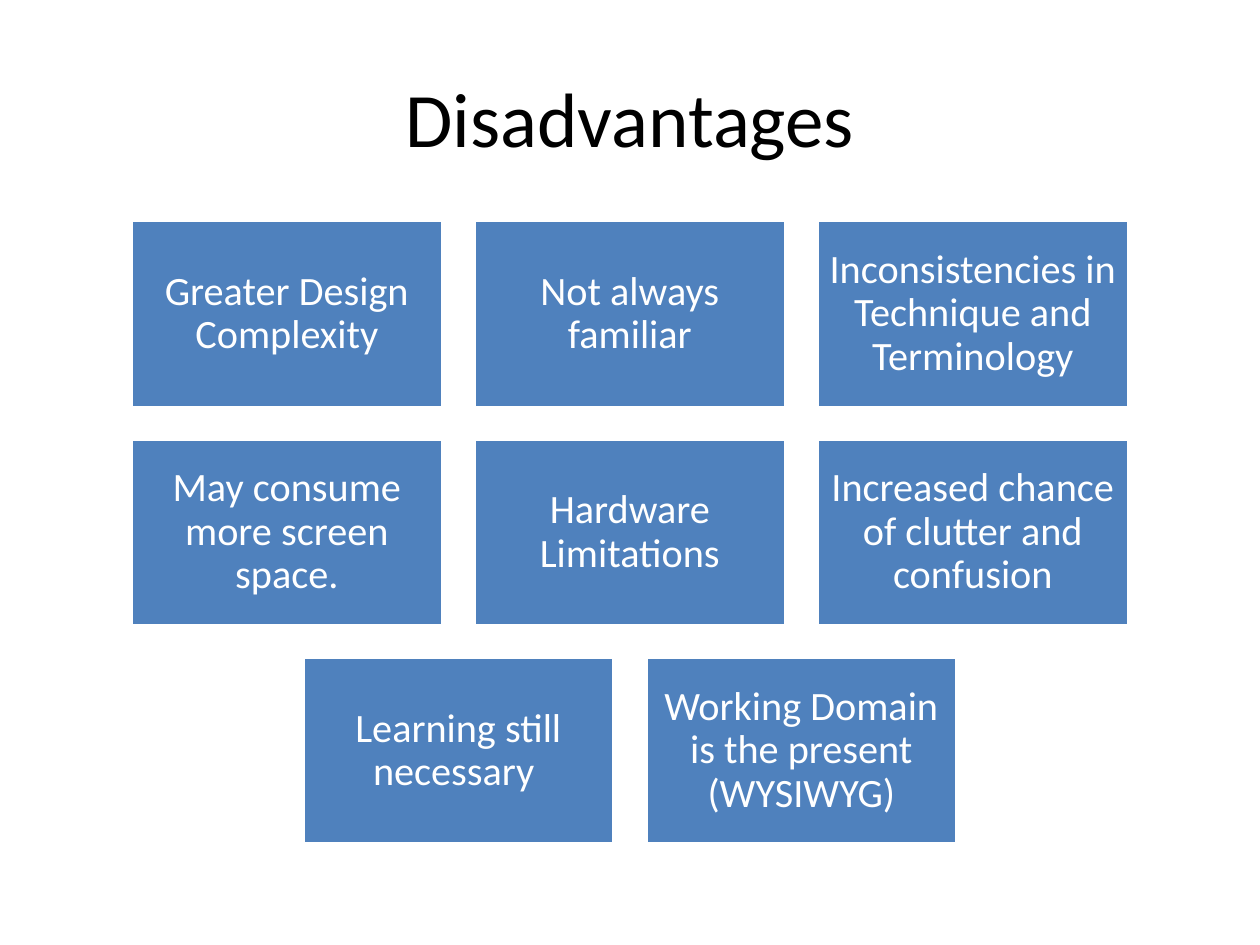
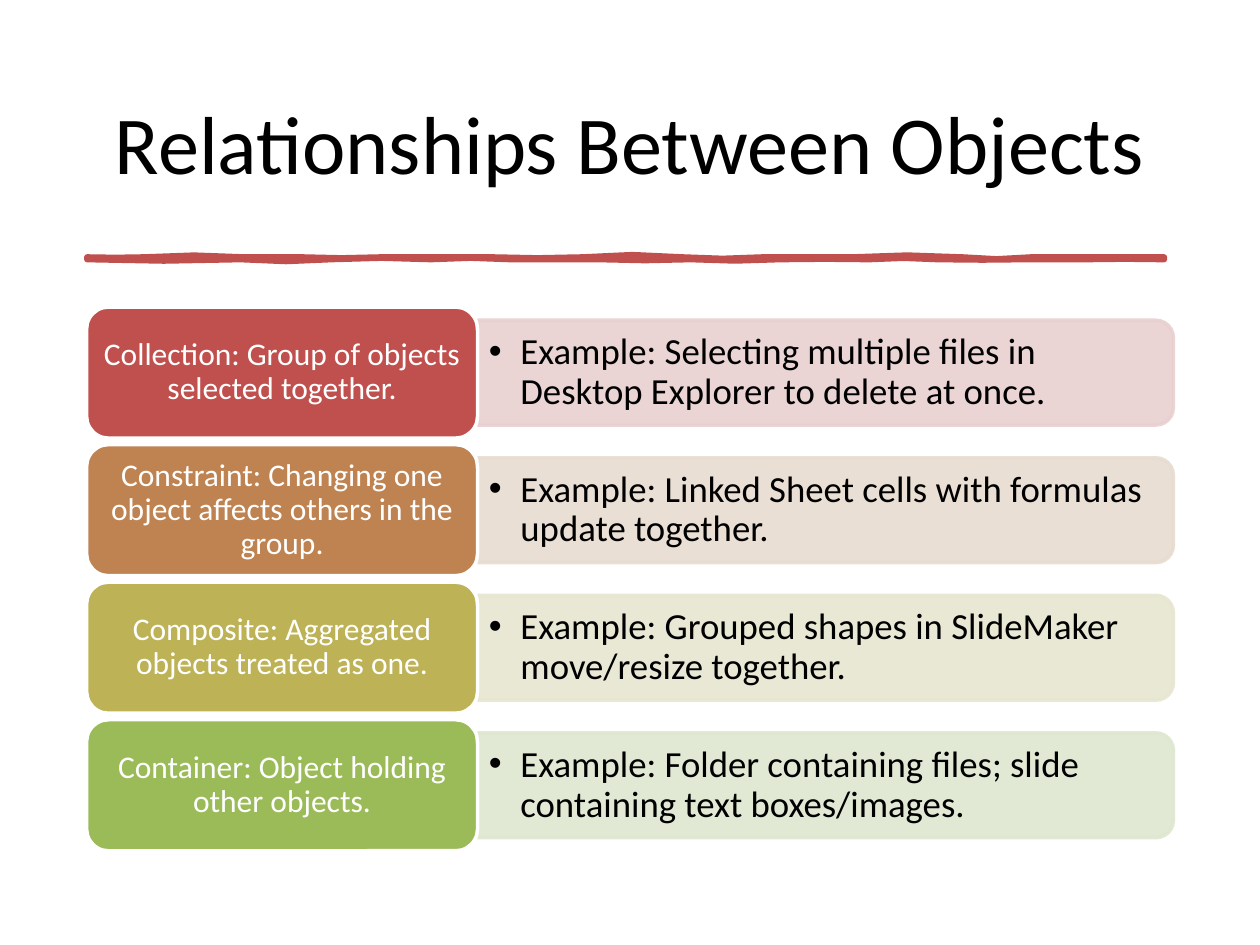
from typing import NamedTuple

from lxml.etree import SubElement
from pptx import Presentation
from pptx.dml.color import RGBColor
from pptx.enum.shapes import MSO_SHAPE as Preset
from pptx.enum.text import MSO_ANCHOR as Anchor, PP_ALIGN as Align
from pptx.oxml.ns import qn
from pptx.util import Pt

FONT = "Calibri"
SLIDE_WIDTH, SLIDE_HEIGHT = 720, 540
COLOURS = {
    "ink": "000000", "paper": "FFFFFF", "blue": "4F81BD",
    "red": "C0504D", "red tint": "E8D0D0",
    "orange": "BE8351", "orange tint": "E8DCD0",
    "olive": "BDB255", "olive tint": "E7E6D1",
    "green": "9BBB59", "green tint": "DEE7D1",
}


class Area(NamedTuple):
    left: float
    top: float
    width: float
    height: float


class Relationship(NamedTuple):
    colour: str
    definition: str
    example: str


class Wave(NamedTuple):
    """One curve of a brush edge: its end and the pull of its two handles."""
    end: float
    first: float
    second: float


DISADVANTAGES = [
    ["Greater Design Complexity", "Not always familiar",
     "Inconsistencies in Technique and Terminology"],
    ["May consume more screen space.", "Hardware Limitations",
     "Increased chance of clutter and confusion"],
    ["Learning still necessary ", "Working Domain is the present (WYSIWYG)"],
]

RELATIONSHIPS = [
    Relationship("red", "Collection: Group of objects selected together.",
                 "Example: Selecting multiple files in Desktop Explorer to delete at once."),
    Relationship("orange", "Constraint: Changing one object affects others in the group.",
                 "Example: Linked Sheet cells with formulas update together."),
    Relationship("olive", "Composite: Aggregated objects treated as one.",
                 "Example: Grouped shapes in SlideMaker move/resize together."),
    Relationship("green", "Container: Object holding other objects.",
                 "Example: Folder containing files; slide containing text boxes/images."),
]

BRUSH_LEFT, BRUSH_RIGHT = 49.7, 665.3
BRUSH_TOP, BRUSH_BOTTOM = 146.9, 148.3
TOP_WAVES = [
    Wave(82, -0.7, 1.4), Wave(139.7, -1.4, -1.4), Wave(172.8, 0.7, -0.7),
    Wave(217.4, 0.7, 0.7), Wave(281.5, -0.7, 0.7), Wave(332.6, 0, 1.4),
    Wave(390.2, -1.4, -2.2), Wave(435.6, 2.2, 0), Wave(486.7, 0, 0),
    Wave(550, 0, -2.9), Wave(589, 2.9, 0), Wave(BRUSH_RIGHT, 0, 0),
]
BOTTOM_WAVES = [
    Wave(619.9, -1.4, 0.7), Wave(586.8, -0.7, 0.7), Wave(535.7, -0.7, 1.4),
    Wave(496.8, -1.4, -0.7), Wave(445.7, 0.7, -1.4), Wave(394.6, 1.4, 0.7),
    Wave(342.7, -0.7, 2.2), Wave(291.6, -2.2, 2.2), Wave(246.2, -2.2, 0),
    Wave(189.4, 0, -2.2), Wave(137.5, 2.2, 0.7), Wave(BRUSH_LEFT, -0.7, 2.9),
]


def rgb(name: str) -> RGBColor:
    return RGBColor.from_string(COLOURS[name])


def paint(shape, fill: str, line: str, weight: float = 2, opacity: int = 100) -> None:
    shape.shadow.inherit = False
    shape.fill.solid()
    shape.fill.fore_color.rgb = rgb(fill)
    shape.line.fill.solid()
    shape.line.fill.fore_color.rgb = rgb(line)
    shape.line.width = Pt(weight)
    if opacity < 100:
        for colour in shape._element.spPr.iter(qn("a:srgbClr")):
            SubElement(colour, qn("a:alpha"), val=str(opacity * 1000))


def write(box, text: str, *, size: float, colour: str = "ink", align=Align.CENTER,
          spacing: float = 1, inset: tuple[float, float] = (7.2, 3.6),
          bullet_indent: float = 0) -> None:
    frame = box.text_frame
    frame.word_wrap = True
    frame.vertical_anchor = Anchor.MIDDLE
    frame.margin_left = frame.margin_right = Pt(inset[0])
    frame.margin_top = frame.margin_bottom = Pt(inset[1])
    para = frame.paragraphs[0]
    para.alignment = align
    para.line_spacing = spacing
    if bullet_indent:
        properties = para._p.get_or_add_pPr()
        properties.set("marL", str(Pt(bullet_indent)))
        properties.set("indent", str(-Pt(bullet_indent)))
        SubElement(properties, qn("a:buFont"), typeface="Arial")
        SubElement(properties, qn("a:buChar"), char="•")
    span = para.add_run()
    span.text = text
    span.font.name = FONT
    span.font.size = Pt(size)
    span.font.color.rgb = rgb(colour)


def add_text(page, area: Area, text: str, **style) -> None:
    write(page.shapes.add_textbox(*map(Pt, area)), text, **style)


def add_card(page, preset, area: Area, text: str, *, fill: str, size: float,
             inset: tuple[float, float]) -> None:
    card = page.shapes.add_shape(preset, *map(Pt, area))
    paint(card, fill, "paper")
    write(card, text, size=size, colour="paper", spacing=0.9, inset=inset)


def add_page(deck, title: str, area: Area, size: float):
    page = deck.slides.add_slide(deck.slide_layouts[6])
    page.background.fill.solid()
    page.background.fill.fore_color.rgb = rgb("paper")
    add_text(page, area, title, size=size)
    return page


def trace_edge(start: float, level: float, waves: list[Wave],
               steps: int = 2) -> list[tuple[int, int]]:
    """Points along a chain of cubic curves whose ends lie on one level."""
    points = []
    for wave in waves:
        for step in range(1, steps + 1):
            t = step / steps
            sway = 3 * t * (1 - t) * ((1 - t) * wave.first + t * wave.second)
            points.append((Pt(start + t * (wave.end - start)), Pt(level + sway)))
        start = wave.end
    return points


def add_brush_line(page) -> None:
    outline = trace_edge(BRUSH_LEFT, BRUSH_TOP, TOP_WAVES)
    outline.append((Pt(BRUSH_RIGHT), Pt(BRUSH_BOTTOM)))
    outline += trace_edge(BRUSH_RIGHT, BRUSH_BOTTOM, BOTTOM_WAVES)
    builder = page.shapes.build_freeform(Pt(BRUSH_LEFT), Pt(BRUSH_TOP))
    builder.add_line_segments(outline, close=True)
    paint(builder.convert_to_shape(), "red", "red", weight=3.25)


def add_relationship(page, top: float, item: Relationship) -> None:
    card = Area(49.5, top, 223.4, 74.9)
    bar = Area(273.1, top + 7.5, 397.4, 59.9)
    # The bar is drawn upright and turned so that its rounded end faces right
    centre_x, centre_y = bar.left + bar.width / 2, bar.top + bar.height / 2
    upright = Area(centre_x - bar.height / 2, centre_y - bar.width / 2,
                   bar.height, bar.width)
    shape = page.shapes.add_shape(Preset.ROUND_2_SAME_RECTANGLE, *map(Pt, upright))
    shape.rotation = 90
    tint = f"{item.colour} tint"
    paint(shape, tint, tint, opacity=90)
    add_text(page, Area(bar.left, centre_y - 27, 394.5, 54), item.example, size=21,
             align=Align.LEFT, spacing=0.9, inset=(6.3, 3.15), bullet_indent=18)
    add_card(page, Preset.ROUNDED_RECTANGLE, card, item.definition,
             fill=item.colour, size=18, inset=(5.4, 2.7))


def build_disadvantages(deck) -> None:
    page = add_page(deck, "Disadvantages", Area(36, 21.6, 648, 90), 44)
    width, height, gap, top = 178, 106.8, 18, 126
    for row, labels in enumerate(DISADVANTAGES):
        row_width = len(labels) * (width + gap) - gap
        left = (SLIDE_WIDTH - row_width) / 2
        for column, label in enumerate(labels):
            area = Area(left + column * (width + gap), top + row * (height + gap),
                        width, height)
            add_card(page, Preset.RECTANGLE, area, label,
                     fill="blue", size=23, inset=(6.5, 7))


def build_relationships(deck) -> None:
    page = add_page(deck, "Relationships Between Objects",
                    Area(49.7, 28.8, 620.6, 104.4), 47)
    add_brush_line(page)
    for row, item in enumerate(RELATIONSHIPS):
        add_relationship(page, 175.5 + row * 78.6, item)


def main() -> None:
    deck = Presentation()
    deck.slide_width, deck.slide_height = Pt(SLIDE_WIDTH), Pt(SLIDE_HEIGHT)
    build_disadvantages(deck)
    build_relationships(deck)
    deck.save("out.pptx")


if __name__ == "__main__":
    main()
